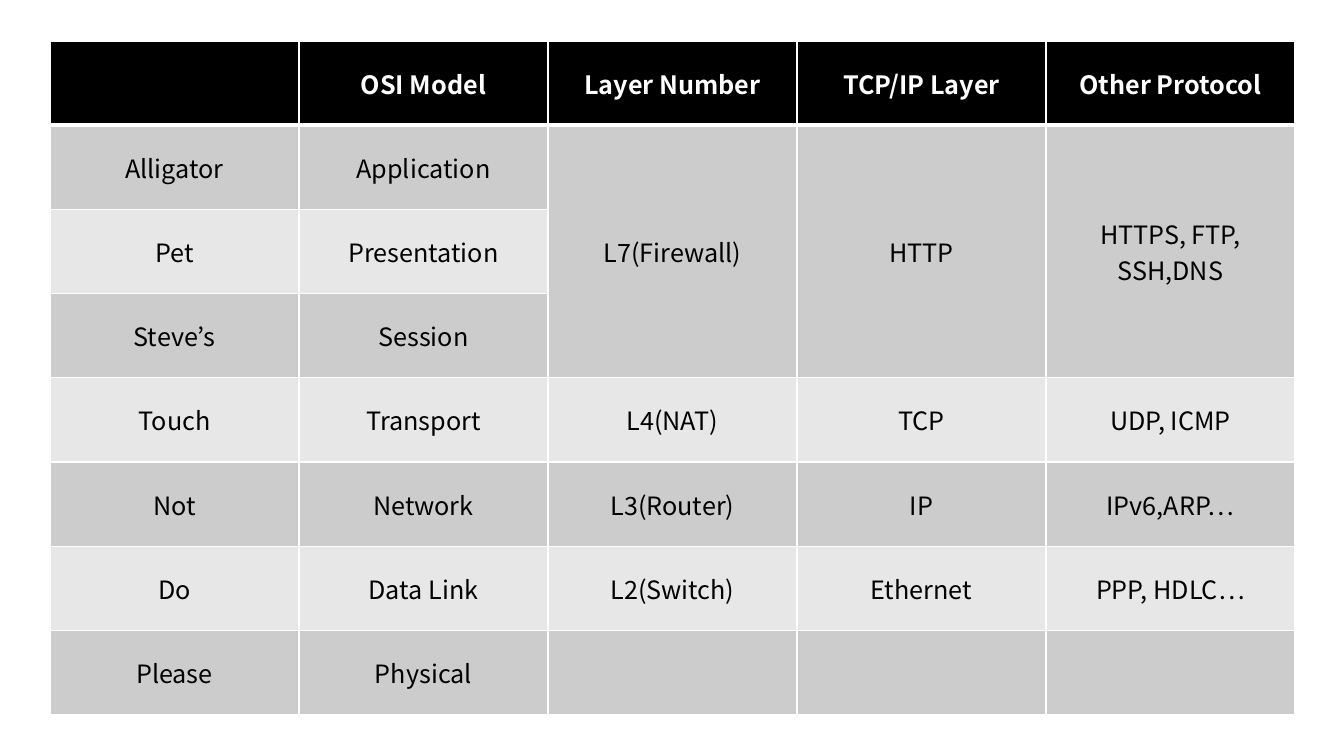
import pptx
import pptx.util
import pptx.dml.color
import pptx.enum.text
import pptx.oxml
import pptx.oxml.ns

UNIT = 12192000 / 1344
FONT = "Noto Sans CJK KR"
BLACK = pptx.dml.color.RGBColor(0x00, 0x00, 0x00)
WHITE = pptx.dml.color.RGBColor(0xFF, 0xFF, 0xFF)
DARK = pptx.dml.color.RGBColor(0xCC, 0xCC, 0xCC)
LIGHT = pptx.dml.color.RGBColor(0xE7, 0xE7, 0xE7)

ROWS = [
    ["", "OSI Model", "Layer Number", "TCP/IP Layer", "Other Protocol"],
    ["Alligator", "Application", "L7(Firewall)", "HTTP", "HTTPS, FTP, SSH,DNS"],
    ["Pet", "Presentation", "", "", ""],
    ["Steve’s", "Session", "", "", ""],
    ["Touch", "Transport", "L4(NAT)", "TCP", "UDP, ICMP"],
    ["Not", "Network", "L3(Router)", "IP", "IPv6,ARP…"],
    ["Do", "Data Link", "L2(Switch)", "Ethernet", "PPP, HDLC…"],
    ["Please", "Physical", "", "", ""],
]


def px(count):
    """Turn pixels into EMU."""
    return pptx.util.Emu(round(count * UNIT))


def edge(cell, sides):
    """Draw white borders, given as a width in points for each side."""
    props = cell._tc.get_or_add_tcPr()
    for spot, (side, width) in enumerate(sides.items()):
        line = pptx.oxml.parse_xml(
            f'<a:ln{side} {pptx.oxml.ns.nsdecls("a")} w="{pptx.util.Pt(width)}">'
            f'<a:solidFill><a:srgbClr val="{WHITE}"/></a:solidFill></a:ln{side}>'
        )
        props.insert(spot, line)


def write(cell, text, color, bold):
    """Put centred text into a cell."""
    cell.vertical_anchor = pptx.enum.text.MSO_ANCHOR.MIDDLE
    cell.text_frame.text = text
    para = cell.text_frame.paragraphs[0]
    para.alignment = pptx.enum.text.PP_ALIGN.CENTER
    for run in para.runs:
        run.font.size = pptx.util.Pt(18)
        run.font.name = FONT
        run.font.bold = bold
        run.font.color.rgb = color


def paint(cell, color):
    """Fill a cell with one colour."""
    cell.fill.solid()
    cell.fill.fore_color.rgb = color


def grid(slide, left, top, width, height):
    """Add the table of network layers."""
    count, span = len(ROWS), len(ROWS[0])
    frame = slide.shapes.add_table(
        count, span, px(left), px(top), px(width), px(height)
    )
    table = frame.table
    for r, texts in enumerate(ROWS):
        head = r == 0
        for c, text in enumerate(texts):
            cell = table.cell(r, c)
            shared = c > 1 and r in (1, 2, 3)
            band = DARK if r % 2 or shared else LIGHT
            paint(cell, BLACK if head else band)
            write(cell, text, WHITE if head else BLACK, head)
            edge(cell, {"L": 1, "R": 1, "T": 3 if r == 1 else 1, "B": 3 if head else 1})
    for c in range(2, span):
        table.cell(1, c).merge(table.cell(3, c))


def main():
    """Build the slide and save it."""
    deck = pptx.Presentation()
    deck.slide_width, deck.slide_height = px(1344), px(756)
    slide = deck.slides.add_slide(deck.slide_layouts[6])
    grid(slide, 50, 41, 1245, 674)
    deck.save("out.pptx")


if __name__ == "__main__":
    main()
